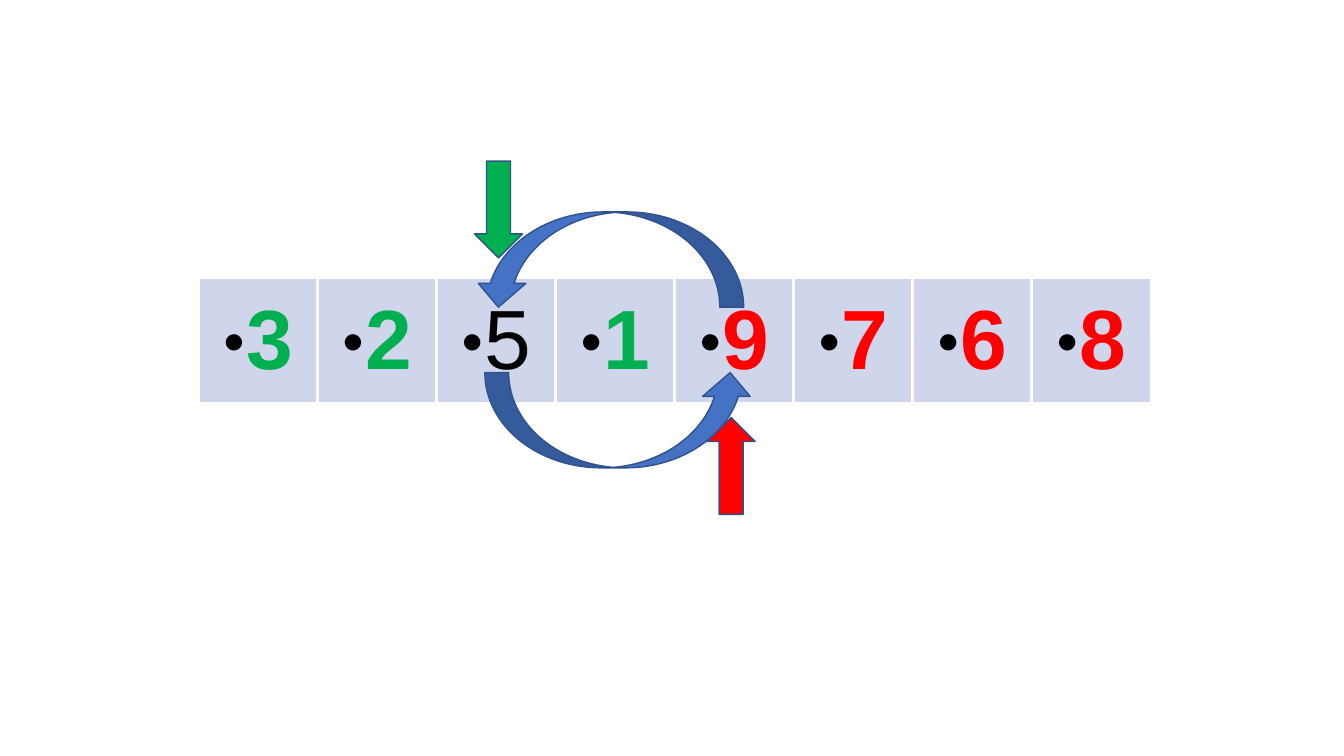
"""Build a slide with a row of eight numbers and the swap of two of them."""
from lxml import etree
from pptx import Presentation
from pptx.dml.color import RGBColor
from pptx.enum.shapes import MSO_SHAPE as SHAPE
from pptx.enum.text import MSO_ANCHOR as ANCHOR, PP_ALIGN as ALIGN
from pptx.oxml import parse_xml
from pptx.oxml.ns import nsdecls
from pptx.util import Cm, Pt

GREEN, RED, BLACK = "00B050", "FF0000", "000000"
BLUE, NAVY, CELL = "4472C4", "2F528F", "CFD5EA"


def rgb(value):
    return RGBColor.from_string(value)


def add_xml(parent, tag, attrs, inner=""):
    parent.append(parse_xml(f'<a:{tag} {nsdecls("a")} {attrs}>{inner}</a:{tag}>'))


prs = Presentation()
prs.slide_width, prs.slide_height = Cm(33.87), Cm(19.05)
s = prs.slides.add_slide(prs.slide_layouts[6])

numbers = [("3", GREEN), ("2", GREEN), ("5", BLACK), ("1", GREEN),
           ("9", RED), ("7", RED), ("6", RED), ("8", RED)]
table = s.shapes.add_table(1, len(numbers), Cm(5), Cm(7), Cm(24), Cm(3.15)).table
table.first_row = table.horz_banding = False

for cell, (number, color) in zip(table.iter_cells(), numbers):
    tcPr = cell._tc.get_or_add_tcPr()
    for side in ("lnL", "lnR", "lnT", "lnB"):
        add_xml(tcPr, side, 'w="25200"',
                '<a:solidFill><a:srgbClr val="FFFFFF"/></a:solidFill>')
    cell.fill.solid()
    cell.fill.fore_color.rgb = rgb(CELL)
    cell.vertical_anchor = ANCHOR.MIDDLE
    p = cell.text_frame.paragraphs[0]
    p.alignment = ALIGN.CENTER
    pPr = p._p.get_or_add_pPr()
    pPr.set("marL", str(Cm(0.6)))
    pPr.set("indent", str(-Cm(0.6)))
    add_xml(pPr, "buClr", "", f'<a:srgbClr val="{BLACK}"/>')
    add_xml(pPr, "buSzPct", 'val="45000"')
    add_xml(pPr, "buFont", 'typeface="Arial"')
    add_xml(pPr, "buChar", 'char="●"')
    r = p.add_run()
    r.text = number
    font = {"name": "Arial", "size": Pt(60), "bold": color != BLACK}
    for key, value in font.items():
        setattr(r.font, key, value)
    r.font.color.rgb = rgb(color)

arrow, curve = (SHAPE.DOWN_ARROW, 1.21, 2.44), (SHAPE.CURVED_UP_ARROW, 6.78, 2.4)
arrows = [(arrow, 11.96, 4.06, 0, GREEN), (arrow, 17.82, 10.52, 180, RED),
          (curve, 11.96, 5.34, 180, BLUE), (curve, 12.22, 9.39, 0, BLUE)]
for (kind, width, height), left, top, rotation, color in arrows:
    sp = s.shapes.add_shape(kind, Cm(left), Cm(top), Cm(width), Cm(height))
    sp.rotation = rotation
    sp.shadow.inherit = False
    sp.fill.solid()
    sp.fill.fore_color.rgb = rgb(color)
    sp.line.color.rgb = rgb(NAVY)
    sp.line.width = Pt(1)

prs.save("out.pptx")
